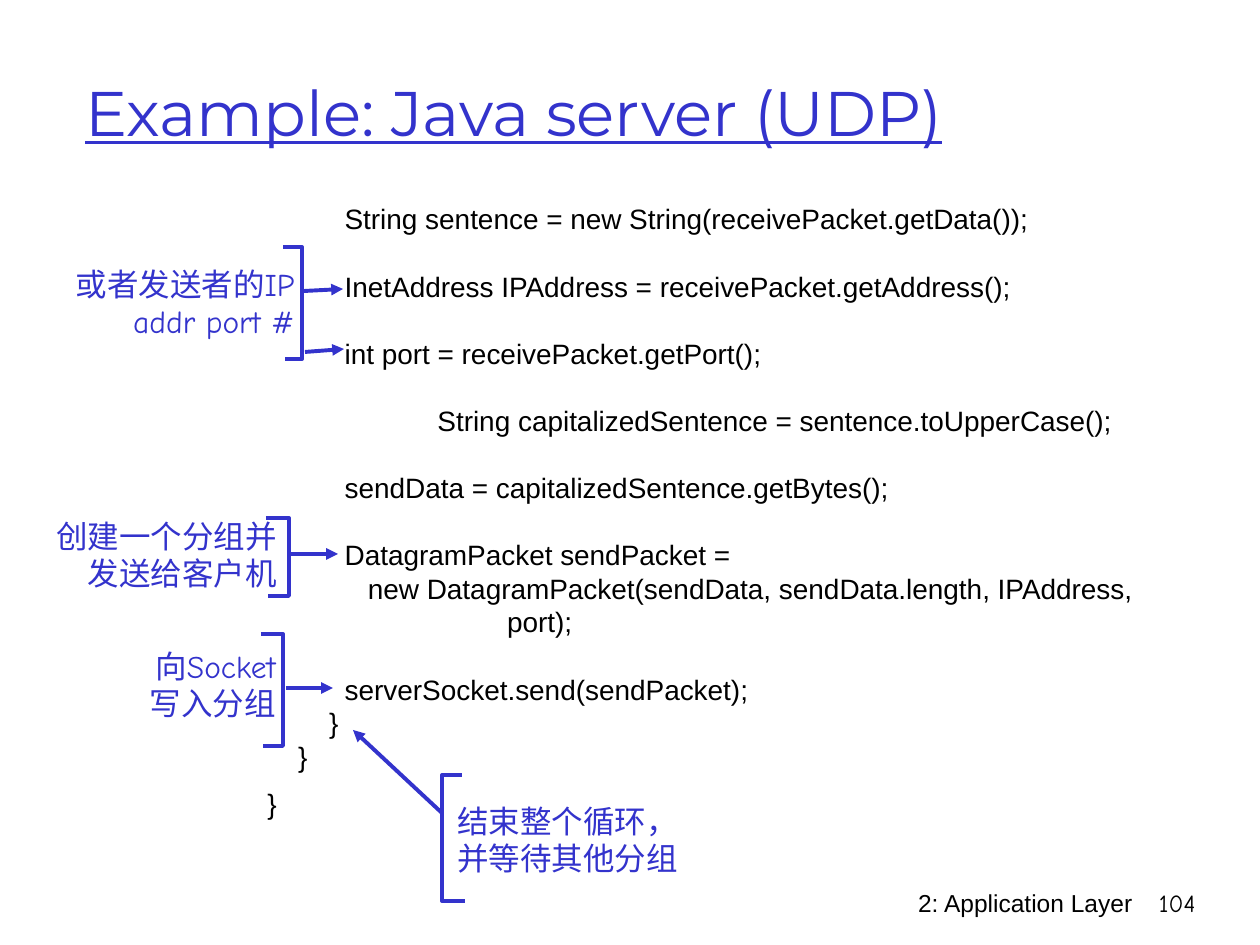
from lxml.etree import SubElement
from pptx import Presentation
from pptx.dml.color import RGBColor
from pptx.enum.shapes import MSO_CONNECTOR
from pptx.enum.text import MSO_ANCHOR as Anchor, PP_ALIGN as Align
from pptx.oxml.ns import qn
from pptx.util import Pt

PX = 914400 / 126
BLUE = RGBColor(0x33, 0x33, 0xCC)
BLACK = RGBColor(0, 0, 0)
LINE_WIDTH = Pt(2.25)
CODE_PITCH = 19.2

TITLE = {"name": "Montserrat", "size": Pt(36), "underline": True}
CODE = {"name": "Arial", "size": Pt(16)}
NOTE = {"name": "Comic Neue", "size": Pt(18)}
FOOTER = {"name": "Arial", "size": Pt(14)}
PAGE_NUMBER = {"name": "Comic Neue", "size": Pt(14)}

CODE_LINES = [
    ("          String sentence = new String(receivePacket.getData());", 0),
    ("          InetAddress IPAddress = receivePacket.getAddress();", CODE_PITCH),
    ("          int port = receivePacket.getPort();", CODE_PITCH),
    ("                      String capitalizedSentence = sentence.toUpperCase();", CODE_PITCH),
    ("          sendData = capitalizedSentence.getBytes();", CODE_PITCH),
    ("          DatagramPacket sendPacket =", CODE_PITCH),
    ("             new DatagramPacket(sendData, sendData.length, IPAddress,", 0),
    ("                               port);", 0),
    ("          serverSocket.send(sendPacket);", CODE_PITCH),
    ("        }", 0),
    ("    }", 0),
    ("}", 8),
]

CALLOUTS = [
    {"box": (18, 258, 289, 89), "lines": ["或者发送者的IP addr port #"], "wrap": True,
     "bracket": [(265, -11), (284, -11), (284, 101), (267, 101)],
     "arrows": [(286, 33, 325, 31), (287, 94, 326, 91)]},
    {"box": (43, 510, 246, 89), "lines": ["创建一个分组并", "发送给客户机"],
     "bracket": [(223, 8), (246, 8), (246, 86), (225, 86)],
     "arrows": [(248, 44, 295, 44)]},
    {"box": (125, 640, 163, 89), "lines": ["向Socket", "写入分组"],
     "bracket": [(136, -6), (158, -6), (158, 106), (138, 106)],
     "arrows": [(161, 48, 208, 48)]},
    {"box": (445, 795, 246, 89), "lines": ["结束整个循环，", "并等待其他分组"], "align": Align.LEFT,
     "bracket": [(17, -20), (-3, -20), (-3, 106), (20, 106)],
     "arrows": [(-3, 18, -92, -65)]},
]


def emu(*lengths):
    """Turn px lengths into EMU."""
    return [round(length * PX) for length in lengths]


def add_text(slide, box, lines, style, color, align=Align.LEFT, anchor=Anchor.TOP, wrap=False):
    """Add a text box with one paragraph per line and return its frame."""
    frame = slide.shapes.add_textbox(*emu(*box)).text_frame
    frame.word_wrap = wrap
    frame.vertical_anchor = anchor
    frame.text = "\n".join(lines)
    for paragraph in frame.paragraphs:
        paragraph.alignment = align
        for run in paragraph.runs:
            run.font.color.rgb = color
            for attribute, value in style.items():
                setattr(run.font, attribute, value)
    return frame


def add_code(slide, box):
    """Place the program listing with an even line pitch."""
    frame = add_text(slide, box, [text for text, _ in CODE_LINES], CODE, BLACK)
    frame.margin_top = emu(41)[0]
    for paragraph, (_, gap) in zip(frame.paragraphs, CODE_LINES):
        paragraph.line_spacing = Pt(CODE_PITCH)
        paragraph.space_before = Pt(gap)


def add_bracket(slide, points):
    """Draw an open three-sided bracket through the points."""
    builder = slide.shapes.build_freeform(*points[0], scale=PX)
    builder.add_line_segments(points[1:], close=False)
    shape = builder.convert_to_shape()
    shape.shadow.inherit = False
    shape.fill.background()
    shape.line.color.rgb = BLUE
    shape.line.width = LINE_WIDTH


def add_arrow(slide, ends):
    """Draw a straight line with a triangle at its far end."""
    connector = slide.shapes.add_connector(MSO_CONNECTOR.STRAIGHT, *emu(*ends))
    connector.line.color.rgb = BLUE
    connector.line.width = LINE_WIDTH
    properties = connector._element.spPr
    SubElement(properties.find(qn("a:ln")), qn("a:tailEnd"), type="triangle")
    SubElement(properties, qn("a:effectLst"))


def add_callout(slide, box, lines, bracket, arrows, align=Align.RIGHT, wrap=False):
    """Place a note with its bracket and arrows relative to the box."""
    left, top = box[:2]
    add_text(slide, box, lines, NOTE, BLUE, align, Anchor.MIDDLE, wrap)
    add_bracket(slide, [(left + x, top + y) for x, y in bracket])
    for x1, y1, x2, y2 in arrows:
        add_arrow(slide, (left + x1, top + y1, left + x2, top + y2))


def add_footer(slide, box):
    """Place the chapter name and the page number at the right."""
    left, top, width, height = box
    number_width = 63
    name_width = width - number_width
    add_text(slide, (left, top, name_width, height), ["2: Application Layer"],
             FOOTER, BLACK, Align.RIGHT)
    add_text(slide, (left + name_width, top, number_width, height), ["104"],
             PAGE_NUMBER, BLACK, Align.RIGHT)


def main():
    """Build and save the slide."""
    presentation = Presentation()
    presentation.slide_width, presentation.slide_height = emu(1260, 945)
    slide = presentation.slides.add_slide(presentation.slide_layouts[6])
    add_footer(slide, (746, 882, 462, 63))
    add_text(slide, (73, 32, 1071, 158), ["Example: Java server (UDP)"],
             TITLE, BLUE, anchor=Anchor.MIDDLE, wrap=True)
    add_code(slide, (255, 161, 905, 669))
    for callout in CALLOUTS:
        add_callout(slide, **callout)
    presentation.save("out.pptx")


if __name__ == "__main__":
    main()
